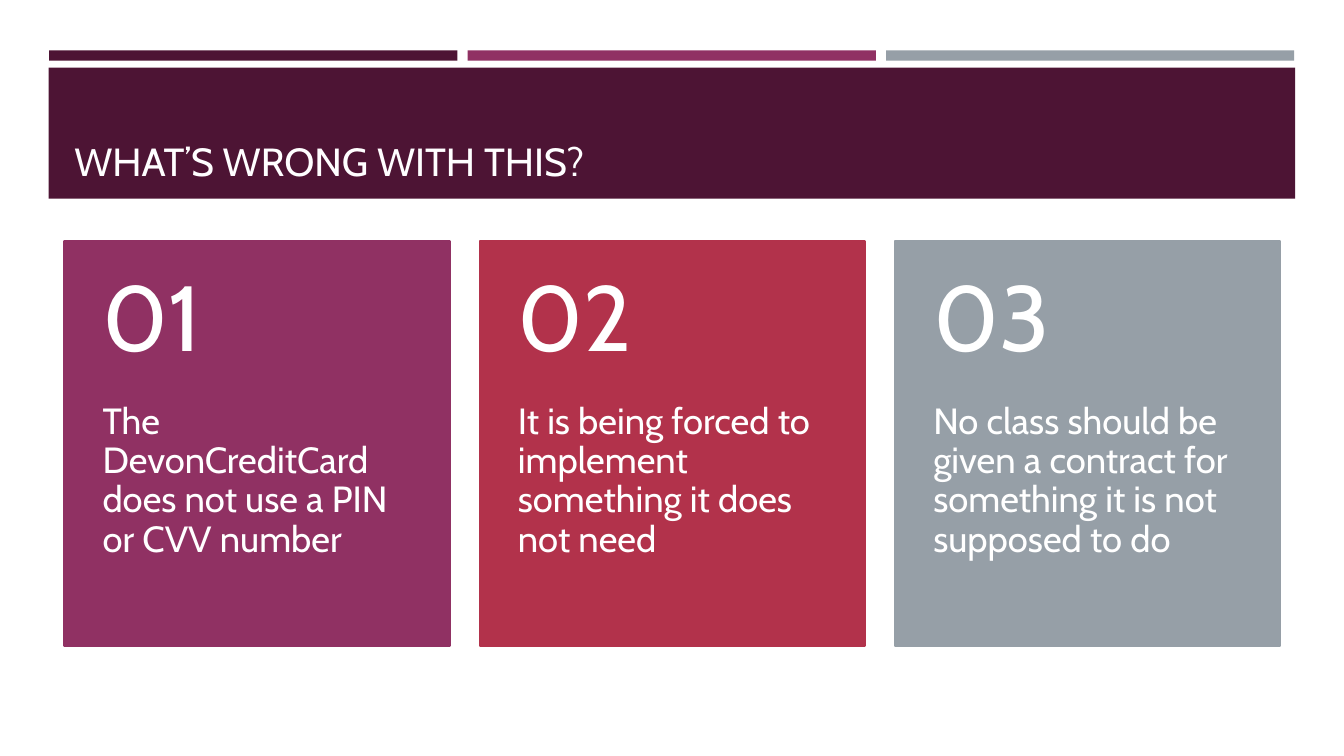
from pptx import Presentation
from pptx.dml.color import RGBColor
from pptx.enum.shapes import MSO_SHAPE
from pptx.enum.text import MSO_ANCHOR, PP_ALIGN
from pptx.util import Pt

RECTANGLE = MSO_SHAPE.RECTANGLE
TOP, MIDDLE, BOTTOM = MSO_ANCHOR.TOP, MSO_ANCHOR.MIDDLE, MSO_ANCHOR.BOTTOM
LEFT = PP_ALIGN.LEFT

PLUM, PURPLE, RED, GRAY = "4D1434", "903163", "B2324B", "969FA7"
WHITE, TITLE_WHITE = "FFFFFF", "FFFEFF"

BAR_COLORS = [PLUM, PURPLE, GRAY]
BAR_LEFT, BAR_PITCH = 35.1, 298.9
CARDS = [
    ("The DevonCreditCard does not use a PIN or CVV number", PURPLE),
    ("It is being forced to implement something it does not need", RED),
    ("No class should be given a contract for something it is not supposed to do", GRAY),
]
CARD_LEFT, CARD_PITCH, CARD_WIDTH = 46, 296.7, 275
CARD_TOP, NUMBER_HEIGHT, BODY_HEIGHT = 172, 115.7, 173.6


def color(hex_string):
    return RGBColor.from_string(hex_string)


class SlideBuilder:
    font_name = "Cabin"

    def __init__(self, slide):
        self.slide = slide

    def rectangle(self, left, top, width, height, fill, line_width=0):
        shape = self.slide.shapes.add_shape(
            RECTANGLE, Pt(left), Pt(top), Pt(width), Pt(height))
        shape.shadow.inherit = False
        shape.fill.solid()
        shape.fill.fore_color.rgb = color(fill)
        if line_width:
            shape.line.color.rgb = color(fill)
            shape.line.width = Pt(line_width)
        else:
            shape.line.fill.background()

    def text(self, left, top, width, height, text, size, text_color=WHITE,
             anchor=TOP, insets=(7.2, 3.6, 7.2, 3.6), line_spacing=1.0, space_after=0):
        """Add a text box; insets run left, top, right, bottom."""
        box = self.slide.shapes.add_textbox(Pt(left), Pt(top), Pt(width), Pt(height))
        frame = box.text_frame
        frame.word_wrap = True
        frame.vertical_anchor = anchor
        (frame.margin_left, frame.margin_top,
         frame.margin_right, frame.margin_bottom) = map(Pt, insets)
        frame.text = text
        paragraph = frame.paragraphs[0]
        paragraph.alignment = LEFT
        paragraph.line_spacing = line_spacing
        paragraph.space_after = Pt(space_after)
        font = paragraph.runs[0].font
        font.name = self.font_name
        font.size = Pt(size)
        font.color.rgb = color(text_color)

    def card(self, left, number, body, fill):
        self.rectangle(left, CARD_TOP, CARD_WIDTH, NUMBER_HEIGHT + BODY_HEIGHT, fill, 1.75)
        self.text(left, CARD_TOP + NUMBER_HEIGHT, CARD_WIDTH, BODY_HEIGHT, body, 26,
                  insets=(27.2, 0, 27.2, 26), line_spacing=0.9, space_after=9.1)
        self.text(left, CARD_TOP, CARD_WIDTH, NUMBER_HEIGHT, number, 66, anchor=MIDDLE,
                  insets=(27.2, 13, 27.2, 13), line_spacing=0.9, space_after=23.1)


def main():
    presentation = Presentation()
    presentation.slide_width = Pt(960)
    presentation.slide_height = Pt(540)
    blank_layout = presentation.slide_layouts[6]
    builder = SlideBuilder(presentation.slides.add_slide(blank_layout))

    for index, bar_color in enumerate(BAR_COLORS):
        builder.rectangle(BAR_LEFT + index * BAR_PITCH, 36, 291.6, 7.4, bar_color)
    builder.rectangle(34.8, 48.4, 890.4, 93.6, PLUM)
    builder.text(46, 55.4, 868, 80, "WHAT’S WRONG WITH THIS?", 28,
                 text_color=TITLE_WHITE, anchor=BOTTOM)

    for index, (body, fill) in enumerate(CARDS):
        builder.card(CARD_LEFT + index * CARD_PITCH, f"{index + 1:02}", body, fill)

    presentation.save("out.pptx")


if __name__ == "__main__":
    main()
